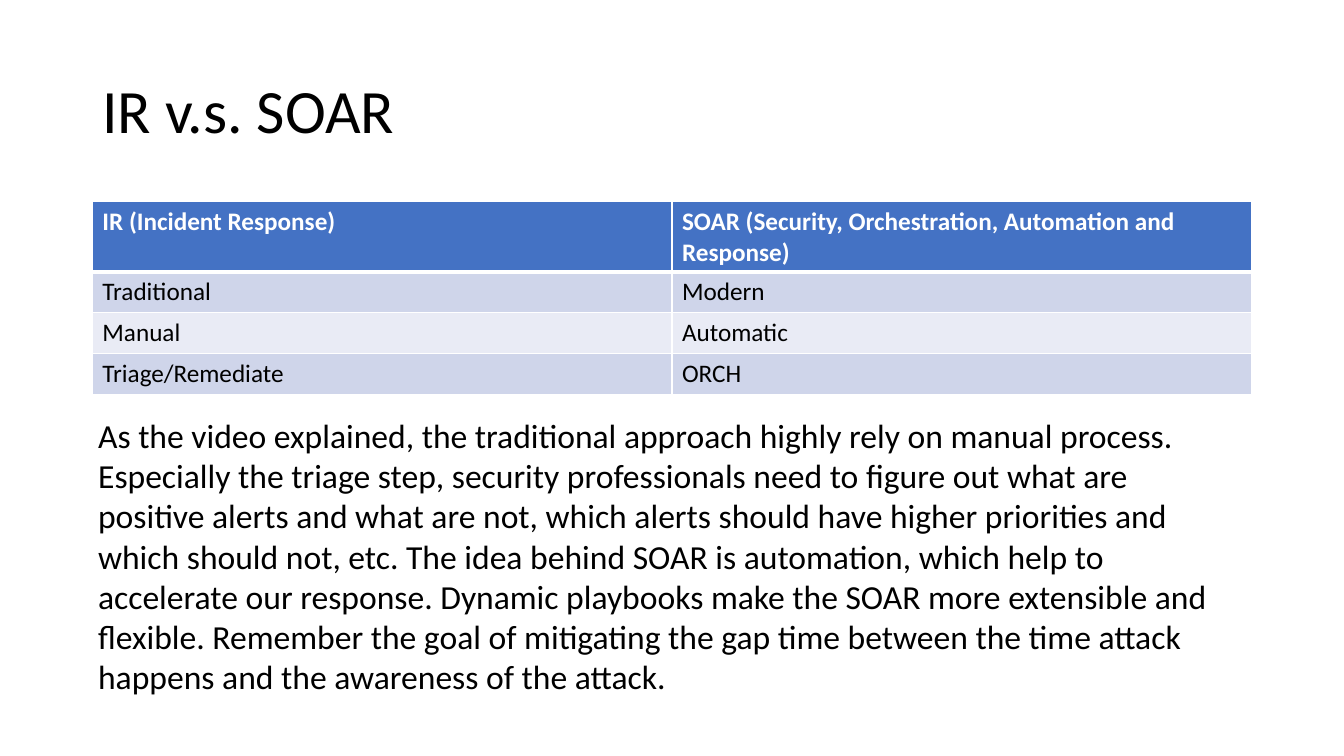
from lxml import etree
from pptx import Presentation
from pptx.dml.color import RGBColor
from pptx.enum.text import MSO_ANCHOR
from pptx.oxml.ns import qn
from pptx.util import Pt

MIDDLE, TOP = MSO_ANCHOR.MIDDLE, MSO_ANCHOR.TOP
BLACK = RGBColor(0x00, 0x00, 0x00)
WHITE = RGBColor(0xFF, 0xFF, 0xFF)
BLUE = RGBColor(0x44, 0x72, 0xC4)
BAND_DARK = RGBColor(0xCF, 0xD5, 0xEA)
BAND_LIGHT = RGBColor(0xE9, 0xEB, 0xF5)

COMPARISON = [
    ("IR (Incident Response)",
     "SOAR (Security, Orchestration, Automation and Response)"),
    ("Traditional", "Modern"),
    ("Manual", "Automatic"),
    ("Triage/Remediate", "ORCH"),
]
EXPLANATION = (
    "As the video explained, the traditional approach highly rely on manual process. "
    "Especially the triage step, security professionals need to figure out what are "
    "positive alerts and what are not, which alerts should have higher priorities and "
    "which should not, etc. The idea behind SOAR is automation, which help to "
    "accelerate our response. Dynamic playbooks make the SOAR more extensible and "
    "flexible. Remember the goal of mitigating the gap time between the time attack "
    "happens and the awareness of the attack."
)


class SlideBuilder:
    """Holds the text style and the current slide."""

    def __init__(self, page, font_name):
        self.page = page
        self.font_name = font_name

    def style(self, para, size, color, bold=False):
        for span in para.runs:
            span.font.name = self.font_name
            span.font.size = Pt(size)
            span.font.bold = bold
            span.font.color.rgb = color

    def text(self, words, left, top, width, height, size, anchor=TOP, spacing=1.0):
        box = self.page.shapes.add_textbox(Pt(left), Pt(top), Pt(width), Pt(height))
        frame = box.text_frame
        frame.word_wrap = True
        frame.vertical_anchor = anchor
        frame.text = words
        para = frame.paragraphs[0]
        para.line_spacing = spacing
        self.style(para, size, BLACK)

    def borders(self, cell, bottom):
        properties = cell._tc.get_or_add_tcPr()
        widths = {"a:lnL": 1, "a:lnR": 1, "a:lnT": 1, "a:lnB": bottom}
        for position, (side, width) in enumerate(widths.items()):
            line = etree.Element(qn(side), w=str(Pt(width)))
            fill = etree.SubElement(line, qn("a:solidFill"))
            etree.SubElement(fill, qn("a:srgbClr"), val=str(WHITE))
            properties.insert(position, line)

    def table(self, rows, left, top, width, header_height, row_height):
        height = header_height + row_height * (len(rows) - 1)
        columns = len(rows[0])
        table = self.page.shapes.add_table(
            len(rows), columns, Pt(left), Pt(top), Pt(width), Pt(height)).table
        for column in table.columns:
            column.width = Pt(width / columns)
        for index, words in enumerate(rows):
            header = index == 0
            table.rows[index].height = Pt(header_height if header else row_height)
            band = BAND_DARK if index % 2 else BAND_LIGHT
            for cell, label in zip(table.rows[index].cells, words):
                cell.text = label
                cell.fill.solid()
                cell.fill.fore_color.rgb = BLUE if header else band
                self.style(cell.text_frame.paragraphs[0], 18,
                           WHITE if header else BLACK, bold=header)
                # The rule under the header is shared with the row below
                self.borders(cell, bottom=3 if header else 1)
                if index == 1:
                    cell._tc.tcPr.find(qn("a:lnT")).set("w", str(Pt(3)))


def main():
    deck = Presentation()
    deck.slide_width, deck.slide_height = Pt(960), Pt(540)
    builder = SlideBuilder(deck.slides.add_slide(deck.slide_layouts[6]), "Calibri")

    # Title
    builder.text("IR v.s. SOAR", 66, 28.75, 828, 104.4, 44, MIDDLE, 0.9)

    # Comparison table
    builder.table(COMPARISON, 66, 143.75, 828, 50.4, 29.2)

    # Explanation
    builder.text(EXPLANATION, 63, 292.5, 828, 211, 24)

    deck.save("out.pptx")


if __name__ == "__main__":
    main()
